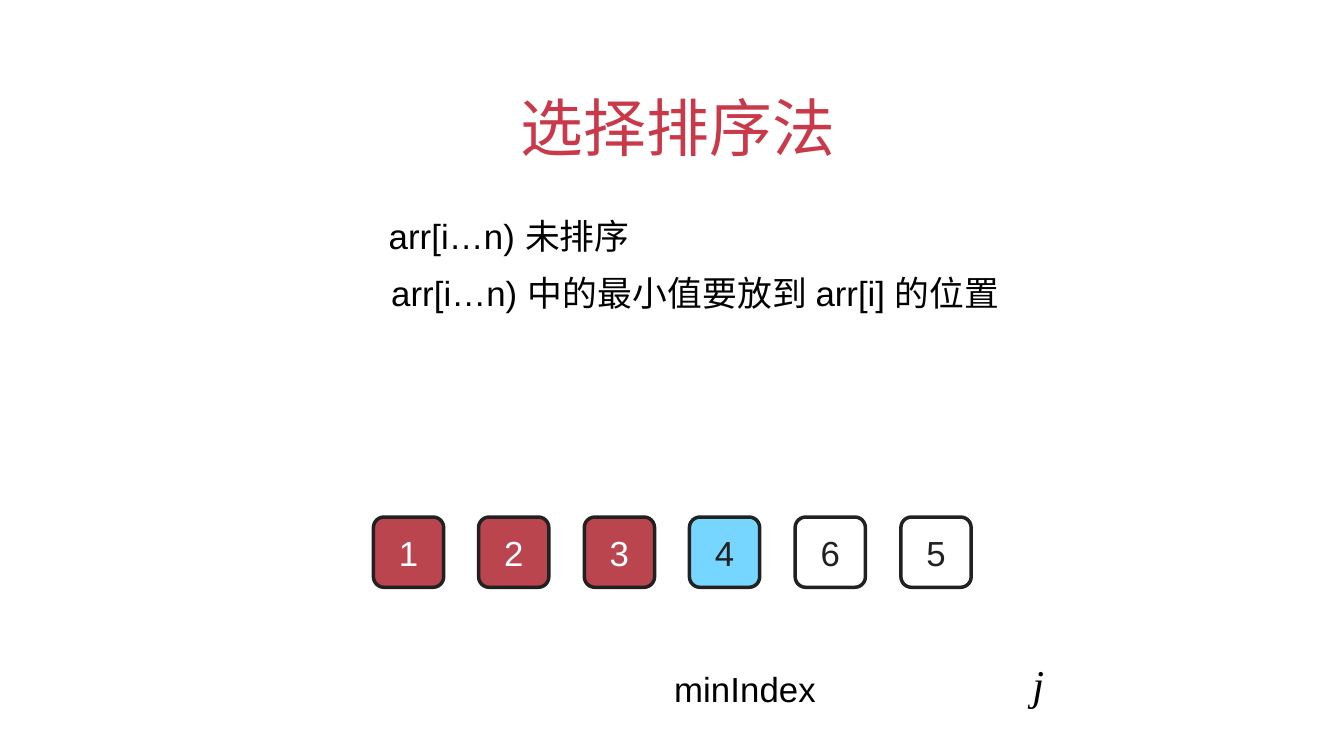
from pptx import Presentation
from pptx.dml.color import RGBColor
from pptx.enum.shapes import MSO_SHAPE
from pptx.enum.text import MSO_ANCHOR, PP_ALIGN
from pptx.oxml.ns import qn
from pptx.util import Emu, Pt
from lxml.etree import SubElement

SCALE = 9144
LATIN, CHINESE, SERIF = "Arial", "Noto Sans CJK TC", "Times New Roman"
BLACK, INK, WHITE = "000000", "212121", "FFFFFF"
RED, BLUE = "BA454E", "76D6FF"


def color(value):
    return RGBColor.from_string(value)


def add_span(para, text, typeface, size, ink, spacing=10, italic=None):
    span = para.add_run()
    span.text = text
    formats = {"name": typeface, "size": Pt(size), "italic": italic}
    for name, value in formats.items():
        setattr(span.font, name, value)
    span.font.color.rgb = color(ink)
    properties = span.font._element
    properties.set("spc", str(spacing))
    SubElement(properties, qn("a:ea")).set("typeface", typeface)


deck = Presentation()
deck.slide_width, deck.slide_height = Emu(2199 * SCALE), Emu(1237 * SCALE)
page = deck.slides.add_slide(deck.slide_layouts[6])

title = [("选择排序法", CHINESE, 74, "C9394A", 20)]
unsorted_range = [
    ("arr[i…n) ", LATIN, 41, BLACK),
    ("未排序", CHINESE, 41, BLACK, 20),
]
minimum_rule = [
    ("arr[i…n) ", LATIN, 41, BLACK),
    ("中的最⼩值要放到 ", CHINESE, 41, BLACK, 20),
    ("arr[i] ", LATIN, 41, BLACK, 0),
    ("的位置", CHINESE, 41, BLACK, 20),
]
scan_index = [("j", SERIF, 50, BLACK, 10, True)]
minimum_index = [("minIndex", LATIN, 41, BLACK)]

text_boxes = [
    (852, 145, 517, 124, None, [title]),
    (636, 352, 1004, 163, None, [unsorted_range, minimum_rule]),
    (1689, 1076, 40, 93, None, [scan_index]),
    (1103, 1104, 234, 60, Pt(41), [minimum_index]),
]
for left, top, width, height, line_spacing, paragraphs in text_boxes:
    box = page.shapes.add_textbox(*[Emu(length * SCALE) for length in (left, top, width, height)])
    frame = box.text_frame
    formats = {"word_wrap": True, "margin_left": 0, "margin_top": 0, "margin_right": 0, "margin_bottom": 0}
    for name, value in formats.items():
        setattr(frame, name, value)
    for index, spans in enumerate(paragraphs):
        para = frame.add_paragraph() if index else frame.paragraphs[0]
        para.line_spacing = line_spacing
        if index:
            para.space_before = Pt(17.9)
            para._p.get_or_add_pPr().set("marL", str(4 * SCALE))
        for span in spans:
            add_span(para, *span)

cells = [
    ("1", RED, WHITE),
    ("2", RED, WHITE),
    ("3", RED, WHITE),
    ("4", BLUE, INK),
    ("6", None, INK),
    ("5", None, INK),
]
first_left, last_left = 611, 1474
for index, (digit, fill, ink) in enumerate(cells):
    left = first_left + (last_left - first_left) * index // (len(cells) - 1)
    cell = page.shapes.add_shape(
        MSO_SHAPE.ROUNDED_RECTANGLE, *[Emu(length * SCALE) for length in (left, 846, 115, 115)]
    )
    cell.adjustments[0] = 0.15
    cell.shadow.inherit = False
    if fill:
        cell.fill.solid()
        cell.fill.fore_color.rgb = color(fill)
    else:
        cell.fill.background()
    cell.line.color.rgb = color(INK)
    cell.line.width = Pt(4.12)
    frame = cell.text_frame
    formats = {
        "vertical_anchor": MSO_ANCHOR.MIDDLE,
        "margin_left": 0,
        "margin_top": 0,
        "margin_right": 0,
        "margin_bottom": 0,
    }
    for name, value in formats.items():
        setattr(frame, name, value)
    para = frame.paragraphs[0]
    para.alignment = PP_ALIGN.CENTER
    add_span(para, digit, LATIN, 41, ink)

deck.save("out.pptx")
